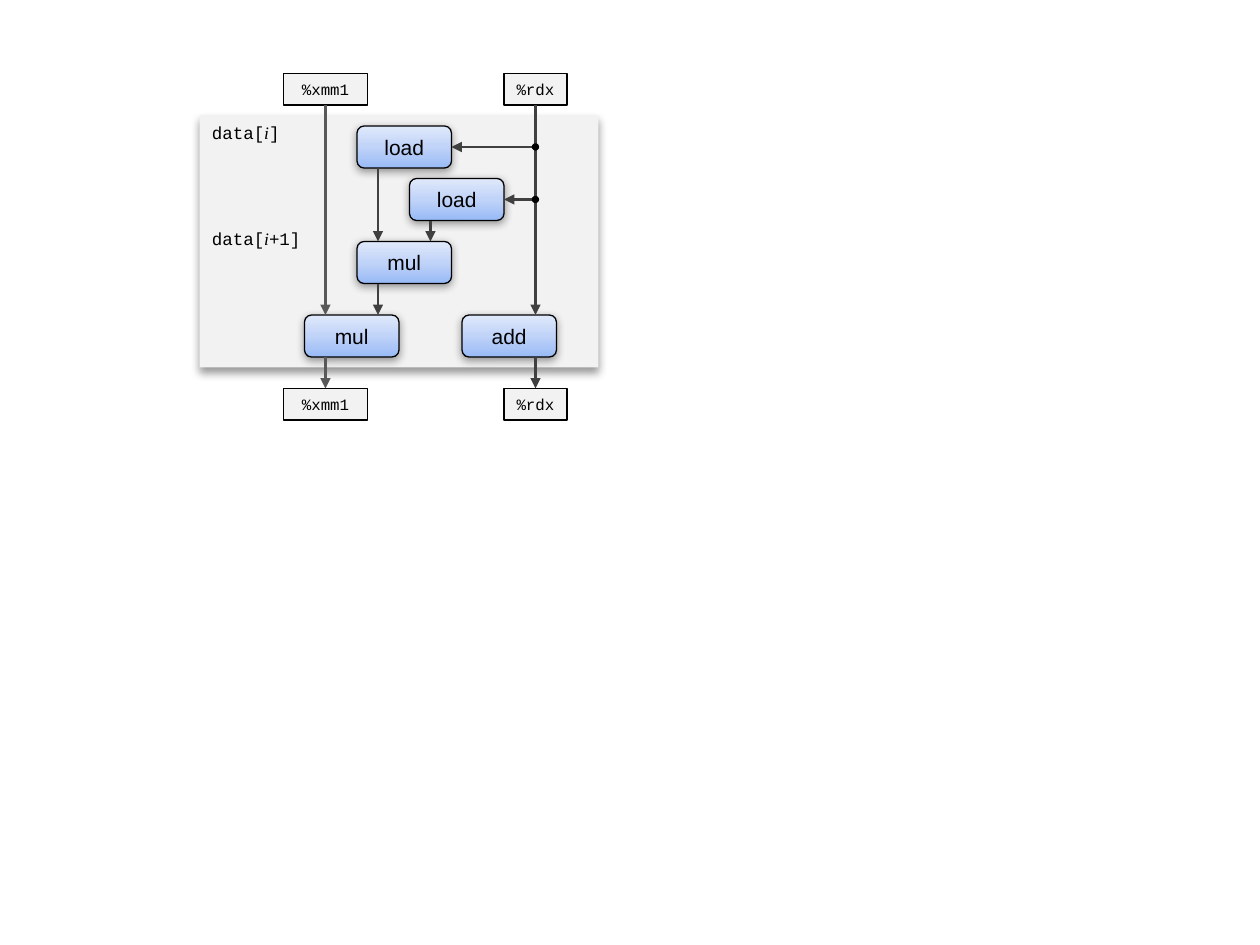
from copy import deepcopy
from dataclasses import dataclass

from lxml import etree
from pptx import Presentation
from pptx import util as u
from pptx.dml.color import RGBColor as Rgb
from pptx.enum import shapes, text
from pptx.oxml.ns import qn


@dataclass(frozen=True)
class Theme:
    """Colours, fonts and type sizes of the slide."""
    ink: str = "000000"
    pale: str = "F2F2F2"
    dark: str = "404040"
    mid: str = "595959"
    blues: tuple = ("98BAF6", "C0D3F8", "E0E9FB")
    sans: str = "Arial"
    mono: str = "Courier New"
    serif: str = "Times New Roman"
    small: int = 9
    label: int = 10
    large: int = 12


THEME = Theme()
GRID = 2.54 / 12
KIND = shapes.MSO_SHAPE


def grid(n):
    """Turn grid steps of a twelfth of an inch into a length."""
    return u.Cm(n * GRID)


def write(para, words, font, size, slant=False):
    """Add one run to a paragraph."""
    run = para.add_run()
    run.text = words
    run.font.name = font
    run.font.size = u.Pt(size)
    run.font.italic = slant
    run.font.color.rgb = Rgb.from_string(THEME.ink)


def shade(shape, alpha, blur, drop):
    """Give a shape a soft shadow that falls straight down."""
    group = shape.element.spPr.find(qn("a:effectLst"))
    cast = etree.SubElement(group, qn("a:outerShdw"), blurRad=str(u.Pt(blur)),
                            dist=str(u.Pt(drop)), dir="5400000", rotWithShape="0")
    tint = etree.SubElement(cast, qn("a:srgbClr"), val=THEME.ink)
    etree.SubElement(tint, qn("a:alpha"), val=str(alpha * 1000))


def block(slide, kind, box, fill, edge=0):
    """Draw a filled shape in a grid box, with an outline if edge is set."""
    shape = slide.shapes.add_shape(kind, *map(grid, box))
    shape.shadow.inherit = False
    shape.fill.solid()
    shape.fill.fore_color.rgb = Rgb.from_string(fill)
    if edge:
        shape.line.color.rgb = Rgb.from_string(THEME.ink)
        shape.line.width = u.Pt(edge)
    else:
        shape.line.fill.background()
    return shape


def label(shape, words, font, size):
    """Centre one line of text in a shape."""
    frame = shape.text_frame
    frame.margin_left = frame.margin_right = 0
    frame.margin_top = frame.margin_bottom = 0
    frame.vertical_anchor = text.MSO_ANCHOR.MIDDLE
    para = frame.paragraphs[0]
    para.alignment = text.PP_ALIGN.CENTER
    write(para, words, font, size)


def store(slide, box, name):
    """Draw a register box."""
    shape = block(slide, KIND.RECTANGLE, box, THEME.pale, 1)
    label(shape, name, THEME.mono, THEME.small)
    return shape


def node(slide, left, top, name):
    """Draw a rounded operation box with a blue gradient."""
    shape = block(slide, KIND.ROUNDED_RECTANGLE, (left, top, 9, 4), THEME.pale, 0.75)
    shape.fill.gradient()
    shape.fill.gradient_angle = 90
    stops = shape.element.spPr.find(".//" + qn("a:gsLst"))
    stops.insert(1, deepcopy(stops[0]))
    for i, (stop, hue) in enumerate(zip(shape.fill.gradient_stops, THEME.blues)):
        stop.position = i / 2
        stop.color.rgb = Rgb.from_string(hue)
    shade(shape, 38, 5, 1.6)
    label(shape, name, THEME.sans, THEME.large)
    return shape


def arrow(slide, start, end, hue, tail=None, head=None):
    """Draw an arrow; tail and head are optional (shape, side) joints."""
    line = slide.shapes.add_connector(
        shapes.MSO_CONNECTOR.STRAIGHT, *map(grid, (*start, *end)))
    line.line.color.rgb = Rgb.from_string(hue)
    line.line.width = u.Pt(1.5)
    etree.SubElement(line.line._get_or_add_ln(), qn("a:tailEnd"), type="triangle")
    etree.SubElement(line.element.spPr, qn("a:effectLst"))
    if tail:
        line.begin_connect(*tail)
    if head:
        line.end_connect(*head)


def panel(slide, box):
    """Draw the grey panel and its two data labels."""
    shape = block(slide, KIND.RECTANGLE, box, THEME.pale)
    shade(shape, 40, 5, 3)
    frame = shape.text_frame
    frame.vertical_anchor = text.MSO_ANCHOR.TOP
    for i, close in enumerate(("]", "+1]")):
        para = frame.add_paragraph() if i else frame.paragraphs[0]
        para.alignment = text.PP_ALIGN.LEFT
        if i:
            para.space_before = u.Pt(48.7)
        write(para, "data[", THEME.mono, THEME.label)
        write(para, "i", THEME.serif, THEME.label, True)
        write(para, close, THEME.mono, THEME.label)


def graph(slide, box):
    """Draw the data-flow graph around the panel box."""
    left, top, _, high = box
    panel(slide, box)

    def at(x, y):
        return left + x, top + y

    nodes = [node(slide, *at(x, y), name) for x, y, name in (
        (15, 1, "load"), (20, 6, "load"), (15, 12, "mul"),
        (10, 19, "mul"), (25, 19, "add"))]

    for name, x, wide, hue in (("%xmm1", 12, 8, THEME.mid), ("%rdx", 32, 6, THEME.dark)):
        first, last = (store(slide, (*at(x - wide / 2, y), wide, 3), name)
                       for y in (-4, high + 2))
        arrow(slide, at(x, -1), at(x, 19), hue, tail=(first, 2))
        arrow(slide, at(x, 23), at(x, high + 2), hue, head=(last, 0))

    for x, y, end in ((17, 5, 12), (22, 10, 12), (17, 16, 19)):
        arrow(slide, at(x, y), at(x, end), THEME.dark)

    dot = 0.7
    for load, x, y in ((nodes[0], 24, 3), (nodes[1], 29, 8)):
        arrow(slide, at(32, y), at(x, y), THEME.dark, head=(load, 3))
        block(slide, KIND.OVAL, (*at(32 - dot / 2, y - dot / 2), dot, dot), THEME.ink)


def main():
    """Build and save the slide."""
    deck = Presentation()
    deck.slide_width, deck.slide_height = u.Cm(25.4), u.Cm(19.05)
    slide = deck.slides.add_slide(deck.slide_layouts[6])
    graph(slide, (19, 11, 38, 24))
    deck.save("out.pptx")


if __name__ == "__main__":
    main()
